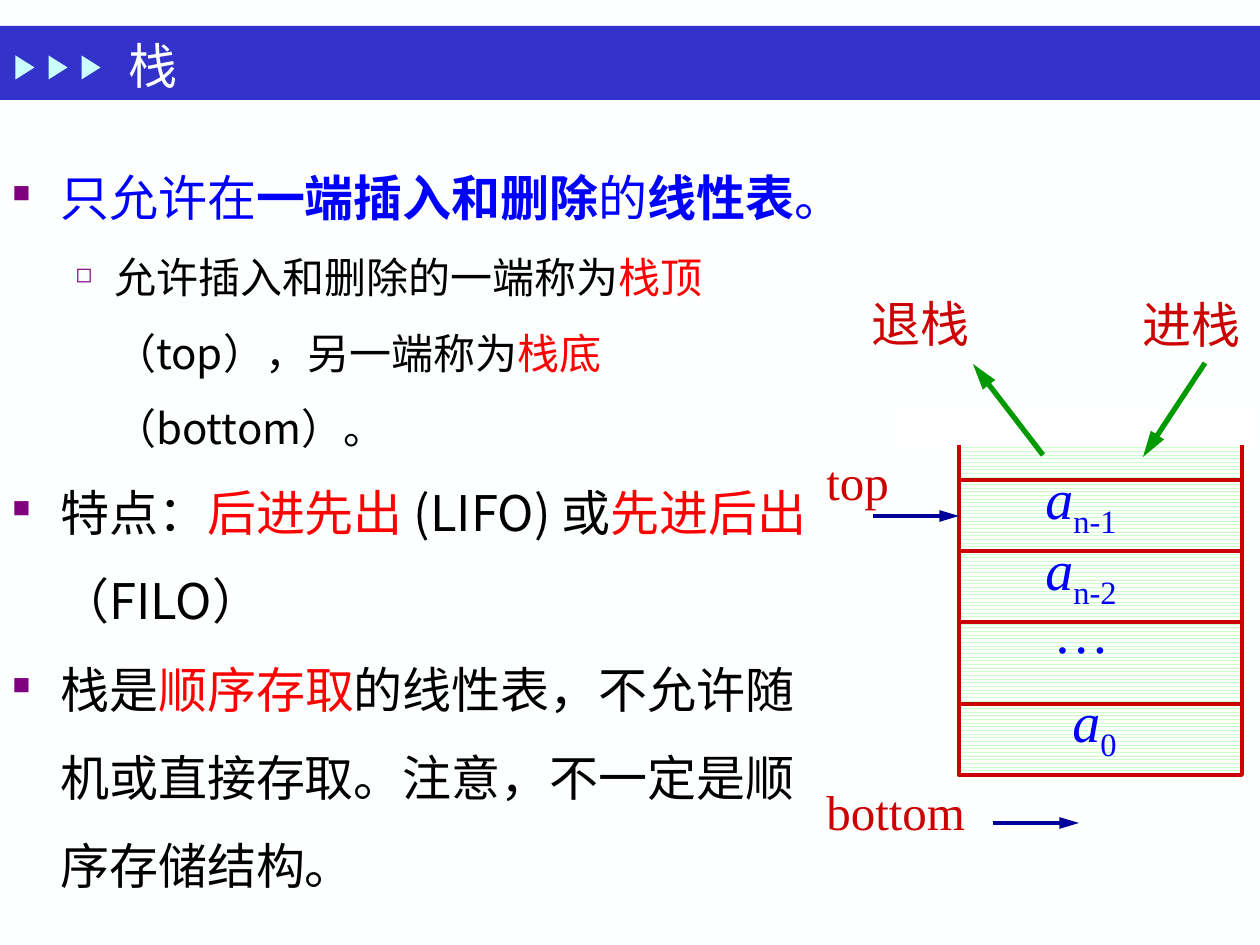
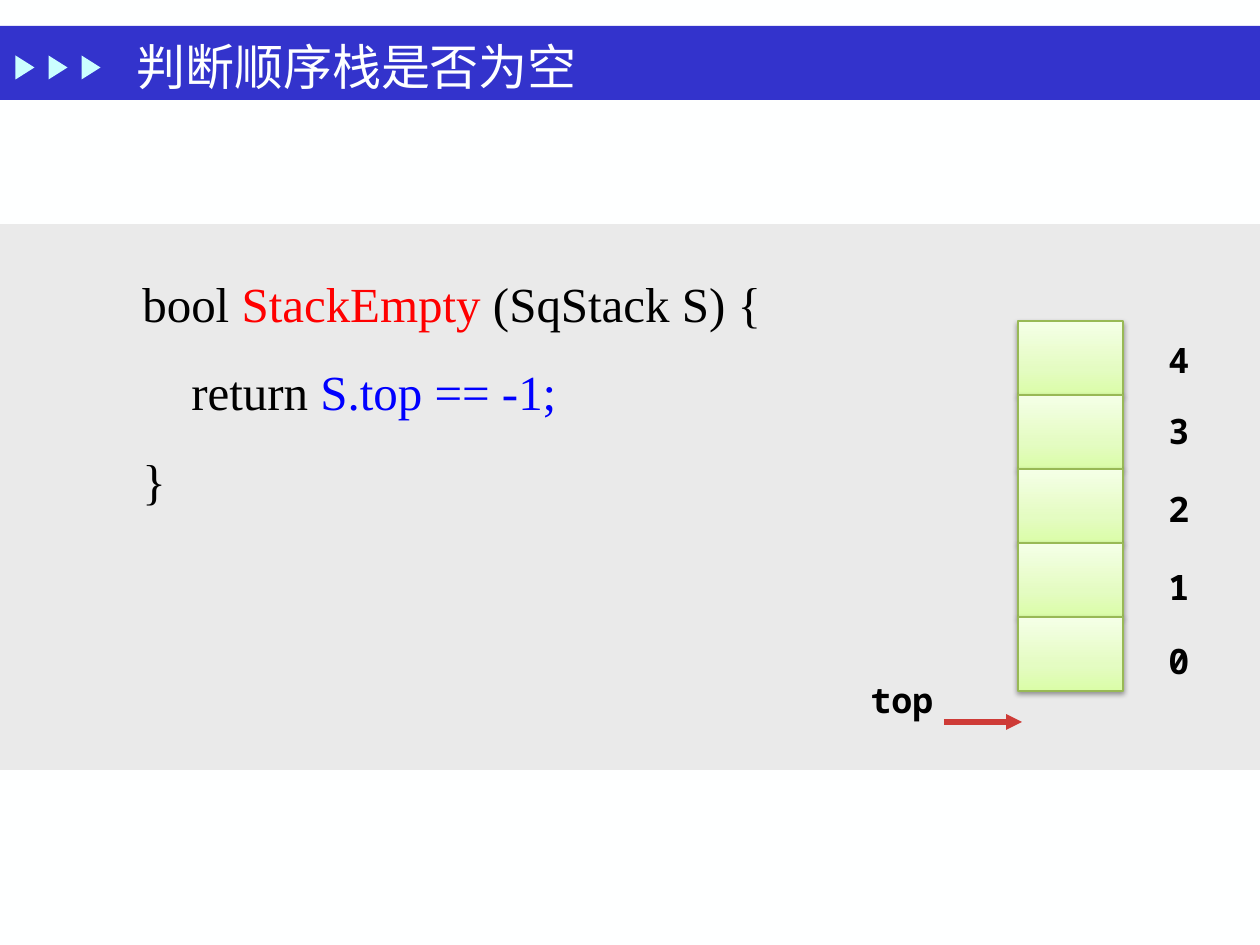
from copy import deepcopy

from lxml import etree
from pptx import Presentation
from pptx import util as u
from pptx.dml import color
from pptx.enum import dml, shapes, text
from pptx.oxml import ns

EMU_PER_PX = 914400 / 126
COLORS = {
    "page": "FEFFFF", "band": "3333CC", "marker": "CBFFFF", "panel": "EAEAEA",
    "white": "FFFFFF", "black": "000000", "red": "FF0000", "blue": "0000FF",
    "bullet": "800080", "frame": "CC0000", "hatch": "CCFFCC", "pointer": "000099",
    "motion": "009900", "cell_low": "DAFDA7", "cell_mid": "E4FCC2",
    "cell_high": "F5FFE7", "cell_edge": "98B955", "top_arrow": "CE3B37",
}
SERIF, SANS, MONO = "Times New Roman", "Noto Sans CJK SC", "Noto Sans Mono"
# level: (bullet, left margin, hanging indent, text size)
LEVELS = {0: ("■", 48, 48, 28), 1: ("◻", 102, 39, 24)}


def px(length):
    return u.Emu(round(length * EMU_PER_PX))


def rgb(name):
    return color.RGBColor.from_string(COLORS[name])


def add_xml(parent, tag, **attributes):
    return etree.SubElement(parent, ns.qn(tag), attributes)


def add_span(para, words, ink, size, font=SERIF, bold=False, italic=False, baseline=None):
    span = para.add_run()
    span.text = words
    span.font.size = u.Pt(size)
    span.font.name = font
    span.font.bold = bold
    span.font.italic = italic
    span.font.color.rgb = rgb(ink)
    properties = span.font._element
    add_xml(properties, "a:ea", typeface=SANS)
    if baseline:
        properties.set("baseline", str(baseline * 1000))


def add_box(page, left, top, width, height, wrap=True, middle=False, grow=False):
    box = page.shapes.add_textbox(px(left), px(top), px(width), px(height))
    frame = box.text_frame
    frame.word_wrap = wrap
    frame.auto_size = text.MSO_AUTO_SIZE.SHAPE_TO_FIT_TEXT if grow else text.MSO_AUTO_SIZE.NONE
    if middle:
        frame.vertical_anchor = text.MSO_ANCHOR.MIDDLE
    return frame


def add_paragraphs(frame, count):
    """Return count paragraphs of the frame at one and a half line spacing."""
    paras = [frame.paragraphs[0]] + [frame.add_paragraph() for _ in range(count - 1)]
    for para in paras:
        para.line_spacing = 1.5
    return paras


def add_block(page, left, top, width, height, fill=None, kind=shapes.MSO_SHAPE.RECTANGLE):
    block = page.shapes.add_shape(kind, px(left), px(top), px(width), px(height))
    block.shadow.inherit = False
    block.line.fill.background()
    if fill:
        block.fill.solid()
        block.fill.fore_color.rgb = rgb(fill)
    return block


def set_line(shape, ink, weight):
    shape.line.color.rgb = rgb(ink)
    shape.line.width = u.Pt(weight)


def add_line(page, start, end, ink, weight=2.25, head=None):
    """Draw a line; head is the length of its arrowhead (med, lg) or None."""
    line = page.shapes.add_connector(
        shapes.MSO_CONNECTOR.STRAIGHT, *map(px, start), *map(px, end))
    set_line(line, ink, weight)
    if head:
        add_xml(line.line._get_or_add_ln(), "a:tailEnd", type="triangle", w="med", len=head)
    add_xml(line._element.spPr, "a:effectLst")


def add_page(deck, title, left, top, width, height):
    page = deck.slides.add_slide(deck.slide_layouts[6])
    page.background.fill.solid()
    page.background.fill.fore_color.rgb = rgb("page")
    add_block(page, 0, 26, 1260, 74, "band")
    for step in range(3):
        marker = add_block(page, 13 + 33 * step, 58, 24, 19, "marker",
                           shapes.MSO_SHAPE.ISOSCELES_TRIANGLE)
        marker.rotation = 90
    frame = add_box(page, left, top, width, height, middle=True)
    add_span(frame.paragraphs[0], title, "page", 28)
    return page


def add_bullets(page, items):
    """Each item is a level and its (words, ink, bold) spans."""
    frame = add_box(page, 0, 132, 832, 813)
    for para, (level, spans) in zip(add_paragraphs(frame, len(items)), items):
        bullet, margin, hanging, size = LEVELS[level]
        para.level = level
        properties = para._p.get_or_add_pPr()
        properties.set("marL", str(px(margin)))
        properties.set("indent", str(-px(hanging)))
        add_xml(add_xml(properties, "a:buClr"), "a:srgbClr", val=COLORS["bullet"])
        add_xml(properties, "a:buSzPct", val="50000")
        add_xml(properties, "a:buChar", char=bullet)
        for words, ink, *bold in spans:
            add_span(para, words, ink, size, SANS, bold=bool(bold))


def add_label(page, words, left, top, width):
    frame = add_box(page, left, top, width, 81, wrap=False, grow=True)
    add_span(frame.paragraphs[0], words, "frame", 28)


def add_element(page, symbol, index, left, top, width):
    frame = add_box(page, left, top, width, 89, wrap=False, grow=True)
    para = frame.paragraphs[0]
    add_span(para, symbol, "blue", 32, italic=True)
    if index:
        add_span(para, index, "blue", 32, baseline=-25)


def add_stack_diagram(page):
    left, right = 959, 1242
    add_label(page, "退栈", 859, 287, 145)
    add_label(page, "进栈", 1130, 288, 145)
    stack = add_block(page, left, 433, right - left, 342)
    stack.fill.patterned()
    stack.fill.pattern = dml.MSO_PATTERN.ZIG_ZAG
    stack.fill.fore_color.rgb = rgb("hatch")
    stack.fill.back_color.rgb = rgb("white")
    set_line(stack, "frame", 2.25)
    add_block(page, 897, 410, 357, 35, "white")
    for level in (480, 551, 622, 704):
        add_line(page, (left, level), (right, level), "frame")
    add_element(page, "a", "n-1", 1033, 457, 122)
    add_element(page, "a", "n-2", 1033, 528, 122)
    add_element(page, "…", None, 1045, 591, 96)
    add_element(page, "a", "0", 1060, 680, 84)
    add_label(page, "top", 814, 445, 110)
    add_label(page, "bottom", 814, 775, 205)
    add_line(page, (873, 516), (left, 516), "pointer", head="lg")
    add_line(page, (993, 823), (1079, 823), "pointer", head="lg")
    add_line(page, (1205, 363), (1143, 457), "motion", 3, "lg")
    add_line(page, (1043, 455), (973, 364), "motion", 3, "lg")


def add_cell(page, left, top, width, height):
    """Add a stack cell with a green gradient and a soft shadow."""
    cell = add_block(page, left, top, width, height)
    cell.fill.gradient()
    cell.fill.gradient_angle = 90
    first = cell.fill.gradient_stops[0]._gs
    first.addnext(deepcopy(first))
    stops = zip(cell.fill.gradient_stops, (0, 0.35, 1), ("cell_low", "cell_mid", "cell_high"))
    for stop, position, ink in stops:
        stop.position = position
        stop.color.rgb = rgb(ink)
    set_line(cell, "cell_edge", 0.75)
    effects = cell._element.spPr.find(ns.qn("a:effectLst"))
    shadow = add_xml(effects, "a:outerShdw", blurRad=str(u.Pt(3.1)), dist=str(u.Pt(1.6)),
                     dir="5400000", rotWithShape="0")
    shade = add_xml(shadow, "a:srgbClr", val=COLORS["black"])
    add_xml(shade, "a:alpha", val="38000")


def add_mono_label(page, words, left, top, width, height, middle=False):
    frame = add_box(page, left, top, width, height, middle=middle, grow=True)
    para = frame.paragraphs[0]
    para.alignment = text.PP_ALIGN.CENTER
    para.line_spacing = 0.8
    add_span(para, words, "black", 20, MONO, bold=True)


def add_array_diagram(page):
    cell_height = 74
    for row, label_top in enumerate((339, 410, 488, 566, 640)):
        add_cell(page, 1018, 321 + row * cell_height, 105, cell_height)
        add_mono_label(page, str(4 - row), 1140, label_top, 78, 48, middle=True)
    add_line(page, (944, 722), (1022, 722), "top_arrow", 3, "med")
    add_mono_label(page, "top", 840, 680, 124, 71)


def add_code(page, lines):
    frame = add_box(page, 130, 238, 694, 507)
    for para, spans in zip(add_paragraphs(frame, len(lines)), lines):
        for words, ink in spans:
            add_span(para, words, ink, 28)


def main():
    deck = Presentation()
    deck.slide_width, deck.slide_height = px(1260), px(945)

    page = add_page(deck, "栈", 116, 33, 882, 63)
    add_bullets(page, [
        (0, [("只允许在", "blue"), ("一端插入和删除", "blue", True), ("的", "blue"),
             ("线性表", "blue", True), ("。", "blue")]),
        (1, [("允许插入和删除的一端称为", "black"), ("栈顶", "red"),
             ("（top），另一端称为", "black"), ("栈底", "red"), ("（bottom）。", "black")]),
        (0, [("特点：", "black"), ("后进先出 ", "red"), ("(LIFO) 或", "black"),
             ("先进后出", "red"), ("（FILO）", "black")]),
        (0, [("栈是", "black"), ("顺序存取", "red"),
             ("的线性表，不允许随机或直接存取。注意，不一定是顺序存储结构。", "black")]),
    ])
    add_stack_diagram(page)

    page = add_page(deck, "判断顺序栈是否为空", 124, 30, 546, 71)
    add_block(page, 0, 224, 1260, 546, "panel")
    add_code(page, [
        [("bool ", "black"), ("StackEmpty ", "red"), ("(SqStack S) {", "black")],
        [("    return ", "black"), ("S.top == -1;", "blue")],
        [("}", "black")],
    ])
    add_array_diagram(page)
    deck.save("out.pptx")


if __name__ == "__main__":
    main()
